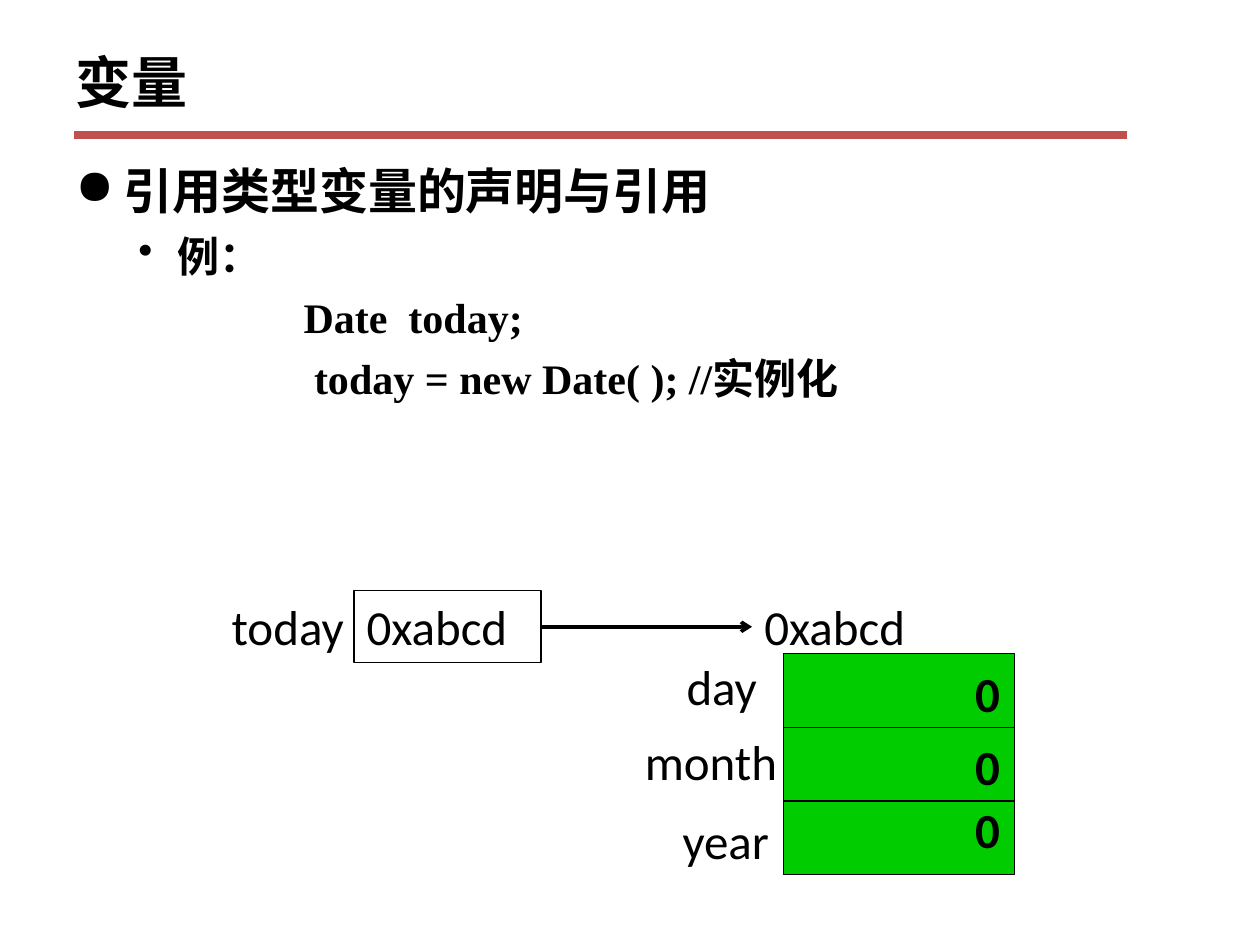
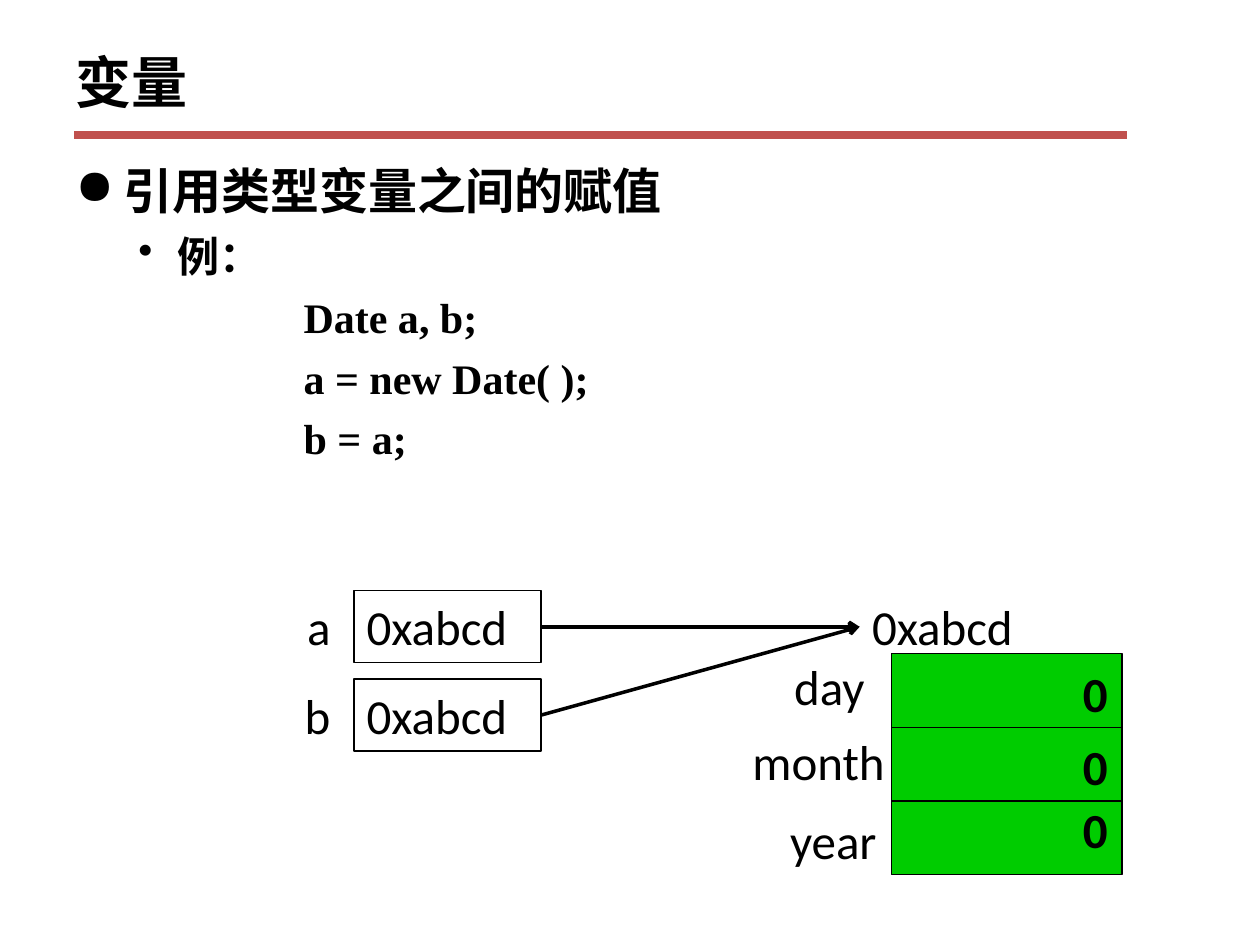
from dataclasses import dataclass

from lxml import etree
from pptx import Presentation, util as u
from pptx.dml.color import RGBColor
from pptx.enum import shapes, text
from pptx.oxml import ns

Cm, Pt = u.Cm, u.Pt
TOP, LEFT, BOTTOM, RIGHT = range(4)


@dataclass(frozen=True)
class Theme:
    ink: str = "000000"
    rule: str = "C0504D"
    memory: str = "00CC00"
    title_font: str = "Noto Sans CJK SC"
    body_font: str = "Times New Roman"
    label_font: str = "Calibri"
    title_size: int = 32
    point_size: int = 28
    code_size: int = 24
    label_size: int = 28
    thin: float = 0.75
    arrow: float = 2
    band: float = 4.5


def write(para, words, font, size, color, bold=False, east_asian=None):
    """Put formatted text into a paragraph."""
    span = para.add_run()
    span.text = words
    span.font.name, span.font.size, span.font.bold = font, Pt(size), bold
    span.font.color.rgb = RGBColor.from_string(color)
    if east_asian:
        latin = span.font._element.find(ns.qn("a:latin"))
        latin.addnext(latin.makeelement(ns.qn("a:ea"), {"typeface": east_asian}))


class Board:
    ROW = 1.45  # height of one label or reference box

    def __init__(self, deck, theme):
        self.deck, self.theme, self.page = deck, theme, None

    # Page frame
    def new_page(self, title):
        theme = self.theme
        self.page = self.deck.slides.add_slide(self.deck.slide_layouts[6])
        self.line(1.5, 2.72, 22.71, 2.72, theme.rule, theme.band)
        box = self.page.shapes.add_textbox(Cm(1.27), Cm(0.53), Cm(22.86), Cm(2.21))
        box.text_frame.word_wrap = True
        box.text_frame.vertical_anchor = text.MSO_ANCHOR.MIDDLE
        write(box.text_frame.paragraphs[0], title, theme.title_font, theme.title_size,
              theme.ink, bold=True, east_asian=theme.title_font)

    # Bulleted heading, example line and code
    def body(self, heading, example, code):
        theme = self.theme
        box = self.page.shapes.add_textbox(Cm(1.27), Cm(3.12), Cm(22.86), Cm(14.81))
        frame = box.text_frame
        frame.word_wrap = True
        rows = [(heading, theme.point_size, 0.97, -0.97, "●"),
                (example, theme.code_size, 2.06, -0.79, "•")]
        rows += [(row, theme.code_size, 4.6, 0, None) for row in code]
        for index, (words, size, margin, indent, bullet) in enumerate(rows):
            para = frame.paragraphs[0] if index == 0 else frame.add_paragraph()
            settings = para._p.get_or_add_pPr()
            settings.set("marL", str(Cm(margin)))
            settings.set("indent", str(Cm(indent)))
            if bullet:
                etree.SubElement(settings, ns.qn("a:buChar"), char=bullet)
            para.line_spacing = Pt(size * 1.2)
            para.space_before = Pt(6 if index else 0)
            write(para, words, theme.body_font, size, theme.ink, bold=True,
                  east_asian=theme.title_font)

    # Diagram elements
    def label(self, words, left, top, width, bold=False):
        box = self.page.shapes.add_textbox(Cm(left), Cm(top), Cm(width), Cm(self.ROW))
        box.text_frame.word_wrap = False
        box.text_frame.auto_size = text.MSO_AUTO_SIZE.SHAPE_TO_FIT_TEXT
        write(box.text_frame.paragraphs[0], words, self.theme.label_font,
              self.theme.label_size, self.theme.ink, bold)
        return box

    def rectangle(self, left, top, width, height, fill=None, words=None):
        theme = self.theme
        box = self.page.shapes.add_shape(shapes.MSO_SHAPE.RECTANGLE,
                                         Cm(left), Cm(top), Cm(width), Cm(height))
        box.shadow.inherit = False
        if fill:
            box.fill.solid()
            box.fill.fore_color.rgb = RGBColor.from_string(fill)
        else:
            box.fill.background()
        box.line.color.rgb = RGBColor.from_string(theme.ink)
        box.line.width = Pt(theme.thin)
        if words:
            box.text_frame.vertical_anchor = text.MSO_ANCHOR.TOP
            para = box.text_frame.paragraphs[0]
            para.alignment = text.PP_ALIGN.LEFT
            write(para, words, theme.label_font, theme.label_size, theme.ink)
        return box

    def line(self, x1, y1, x2, y2, color, width):
        link = self.page.shapes.add_connector(shapes.MSO_CONNECTOR.STRAIGHT,
                                              Cm(x1), Cm(y1), Cm(x2), Cm(y2))
        link.line.color.rgb = RGBColor.from_string(color)
        link.line.width = Pt(width)
        etree.SubElement(link._element.spPr, ns.qn("a:effectLst"))
        return link

    def arrow(self, source, target):
        link = self.line(0, 0, 1, 1, self.theme.ink, self.theme.arrow)
        link.begin_connect(source, RIGHT)
        link.end_connect(target, LEFT)
        etree.SubElement(link.line._get_or_add_ln(), ns.qn("a:tailEnd"), type="arrow")

    # A named variable holding an address
    def reference(self, name, address, left, top, width):
        self.label(name, left, top, width)
        return self.rectangle(7.14, top, 3.77, self.ROW, words=address)

    # The Date object in memory; returns its address label
    def date_object(self, address, left):
        theme, top, width, height = self.theme, 13.18, 4.65, 4.45
        self.rectangle(left, top, width, height, fill=theme.memory)
        for row in (1, 2):
            y = top + row * height / 3
            self.line(left, y, left + width, y, theme.ink, theme.thin)
        fields = [("day", 2.21, 13.11, 1.93, 13.26),
                  ("month", 3.05, 14.63, 3.18, 14.73),
                  ("year", 2.29, 16.21, 2.26, 16.0)]
        for name, offset, name_top, name_width, value_top in fields:
            self.label(name, left - offset, name_top, name_width)
            self.label("0", left + 3.61, value_top, 0.99, bold=True)
        return self.label(address, left - 0.64, 11.91, 3.35)


def main():
    deck = Presentation()
    deck.slide_width, deck.slide_height = Cm(25.4), Cm(19.05)
    board = Board(deck, Theme())
    address = "0xabcd"

    # Each page: heading, code, left edge of the object, variables
    pages = [
        ("引用类型变量的声明与引用",
         ["Date  today;", " today = new Date( ); //实例化"],
         15.8, [("today", 4.42, 11.91, 3.02)]),
        ("引用类型变量之间的赋值",
         ["Date a, b;", "a = new Date( );", "b = a;"],
         17.97, [("a", 5.94, 11.91, 1.19), ("b", 5.89, 13.69, 1.24)]),
    ]
    for heading, code, object_left, variables in pages:
        board.new_page("变量")
        board.body(heading, "例：", code)
        holders = [board.reference(name, address, *place) for name, *place in variables]
        target = board.date_object(address, object_left)
        for holder in holders:
            board.arrow(holder, target)

    deck.save("out.pptx")


if __name__ == "__main__":
    main()
